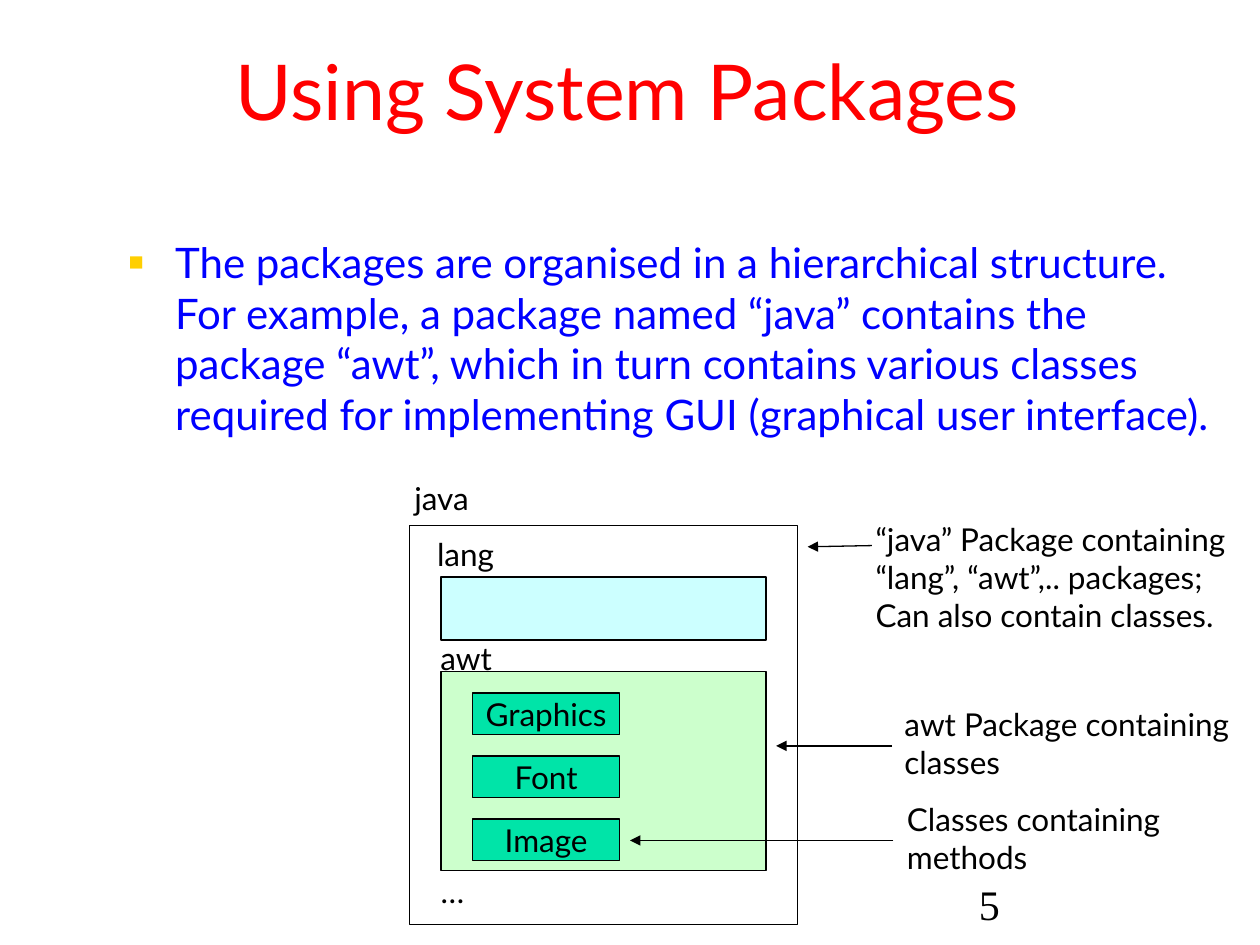
from lxml import etree
from pptx import Presentation
from pptx import util as u
from pptx.dml import color
from pptx.enum import shapes, text
from pptx.oxml import ns

COLORS = {
    "black": "000000",
    "white": "FFFFFF",
    "title": "FF0000",
    "body": "0000FF",
    "bullet": "FFCF01",
    "lang": "CCFFFF",
    "awt": "CCFFCC",
    "class": "00E4A8",
}
LEFT = text.PP_ALIGN.LEFT
CENTER = text.PP_ALIGN.CENTER
TOP = text.MSO_ANCHOR.TOP
MIDDLE = text.MSO_ANCHOR.MIDDLE
BOTTOM = text.MSO_ANCHOR.BOTTOM


def rgb(name):
    return color.RGBColor.from_string(COLORS[name])


def inches(*values):
    return [u.Inches(value) for value in values]


def write(box, lines, size=18, font="Lato", ink="black", align=LEFT,
          anchor=TOP, wrap=False, grow=False, before=0):
    frame = box.text_frame
    frame.word_wrap = wrap
    frame.auto_size = (text.MSO_AUTO_SIZE.SHAPE_TO_FIT_TEXT if grow
                       else text.MSO_AUTO_SIZE.NONE)
    frame.vertical_anchor = anchor
    for number, line in enumerate(lines):
        para = frame.add_paragraph() if number else frame.paragraphs[0]
        para.alignment = align
        para.space_before = u.Pt(before)
        span = para.add_run()
        span.text = line
        span.font.size = u.Pt(size)
        span.font.name = font
        span.font.color.rgb = rgb(ink)


def place(holder, left, top, width, height):
    holder.left, holder.top, holder.width, holder.height = inches(left, top, width, height)


def add_bullet(para):
    props = para._p.get_or_add_pPr()
    props.set("marL", str(u.Inches(0.37)))
    props.set("indent", str(u.Inches(-0.37)))
    tint = etree.SubElement(props, ns.qn("a:buClr"))
    etree.SubElement(tint, ns.qn("a:srgbClr"), val=COLORS["bullet"])
    etree.SubElement(props, ns.qn("a:buSzPct"), val="60000")
    etree.SubElement(props, ns.qn("a:buChar"), char="■")


def add_box(page, left, top, width, height, fill=None):
    box = page.shapes.add_shape(shapes.MSO_SHAPE.RECTANGLE, *inches(left, top, width, height))
    box.shadow.inherit = False
    if fill:
        box.fill.solid()
        box.fill.fore_color.rgb = rgb(fill)
    else:
        box.fill.background()
    box.line.color.rgb = rgb("black")
    box.line.width = u.Pt(0.75)
    return box


def add_text(page, left, top, width, height, lines, **style):
    box = page.shapes.add_textbox(*inches(left, top, width, height))
    write(box, lines, **style)


def add_arrow(page, start, end):
    arrow = page.shapes.add_connector(shapes.MSO_CONNECTOR.STRAIGHT, *inches(*start, *end))
    arrow.line.color.rgb = rgb("black")
    arrow.line.width = u.Pt(0.75)
    props = arrow._element.spPr
    etree.SubElement(props.find(ns.qn("a:ln")), ns.qn("a:tailEnd"), type="triangle")
    etree.SubElement(props, ns.qn("a:effectLst"))


def add_headings(page):
    title, body = page.placeholders
    place(title, 0.17, 0.17, 9.62, 1.08)
    title.fill.solid()
    title.fill.fore_color.rgb = rgb("white")
    write(title, ["Using System Packages"], size=44, ink="title", align=CENTER,
          anchor=MIDDLE, wrap=True)
    place(body, 0.92, 1.83, 8.83, 4.87)
    write(body, ["The packages are organised in a hierarchical structure. "
                 "For example, a package named “java” contains the package “awt”, "
                 "which in turn contains various classes required for implementing "
                 "GUI (graphical user interface)."],
          size=24, ink="body", wrap=True, before=6)
    add_bullet(body.text_frame.paragraphs[0])


def add_packages(page):
    add_box(page, 3.25, 4.17, 3.08, 3.17)
    add_box(page, 3.5, 5.33, 2.58, 1.58, "awt")
    add_box(page, 3.5, 4.58, 2.58, 0.5, "lang")
    for number, name in enumerate(["Graphics", "Font", "Image"]):
        box = add_box(page, 3.75, 5.5 + 0.5 * number, 1.17, 0.33, "class")
        write(box, [name], align=CENTER, anchor=MIDDLE)
    for name, left, top, width in [
        ("java", 3.17, 3.75, 0.67),
        ("lang", 3.34, 4.2, 0.71),
        ("awt", 3.39, 5.02, 0.62),
        ("…", 3.39, 6.87, 0.4),
    ]:
        add_text(page, left, top, width, 0.4, [name], align=CENTER, grow=True)


def add_notes(page):
    for place_at, lines, start, end in [
        ((6.85, 4.08, 3.21, 1),
         ["“java” Package containing", "“lang”, “awt”,.. packages;",
          "Can also contain classes."],
         (6.92, 4.33), (6.41, 4.34)),
        ((7.08, 5.55, 2.98, 0.7), ["awt Package containing", "classes"],
         (7.08, 5.92), (6.16, 5.92)),
        ((7.1, 6.3, 2.44, 0.7), ["Classes containing", "methods"],
         (7.09, 6.67), (5, 6.67)),
    ]:
        add_arrow(page, start, end)
        add_text(page, *place_at, lines, grow=True)


def main():
    deck = Presentation()
    deck.slide_width, deck.slide_height = inches(10, 7.5)
    page = deck.slides.add_slide(deck.slide_layouts[1])
    add_headings(page)
    add_packages(page)
    add_notes(page)
    add_text(page, 7.67, 6.92, 2.08, 0.5, ["5"], size=24, font="Times New Roman",
             anchor=BOTTOM, wrap=True)
    deck.save("out.pptx")


if __name__ == "__main__":
    main()
